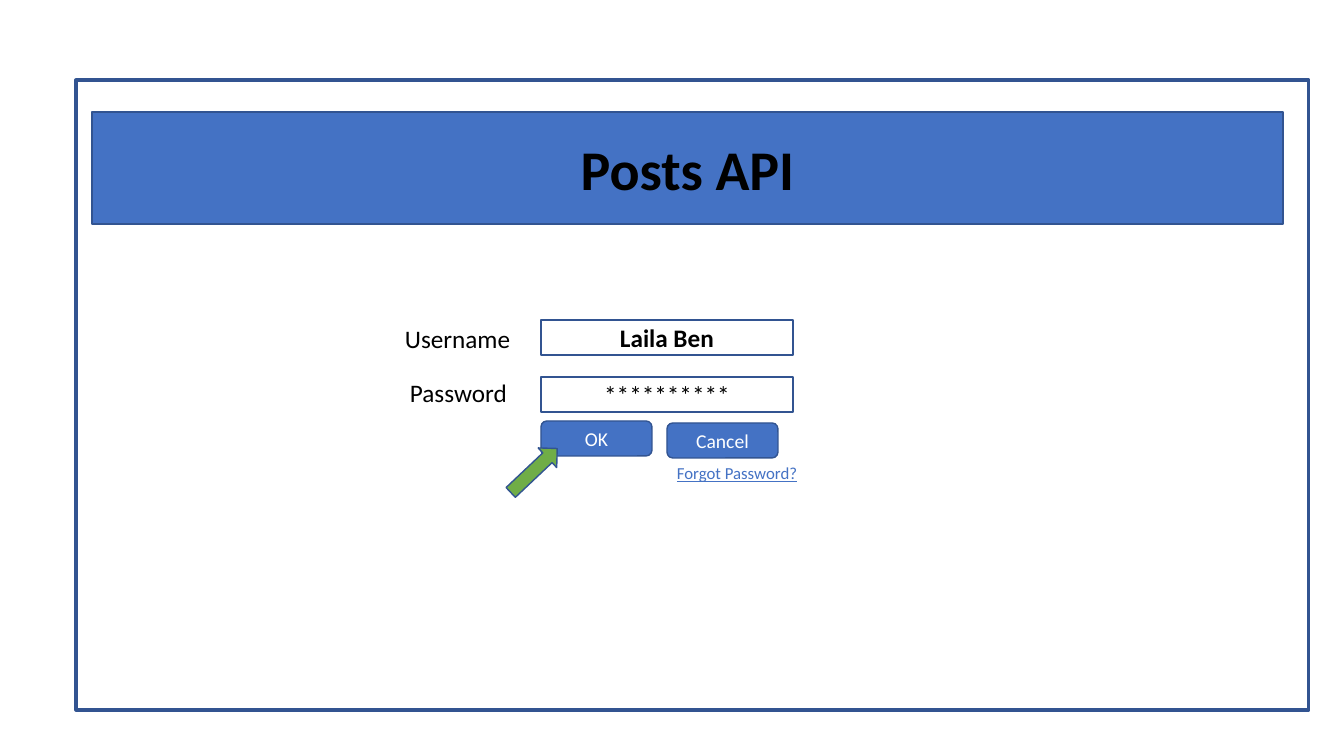
"""Build a slide with a login form mock-up."""
import pptx
import pptx.dml.color
import pptx.enum.shapes
import pptx.enum.text
import pptx.util

BLUE = pptx.dml.color.RGBColor(0x44, 0x72, 0xC4)
DARK_BLUE = pptx.dml.color.RGBColor(0x32, 0x54, 0x91)
GREEN = pptx.dml.color.RGBColor(0x70, 0xAD, 0x47)
BLACK = pptx.dml.color.RGBColor(0, 0, 0)
WHITE = pptx.dml.color.RGBColor(255, 255, 255)
EMU_PER_PIXEL = 914400 / 100.8
KINDS = pptx.enum.shapes.MSO_SHAPE

presentation = pptx.Presentation()
presentation.slide_width = round(1344 * EMU_PER_PIXEL)
presentation.slide_height = round(756 * EMU_PER_PIXEL)
slide = presentation.slides.add_slide(presentation.slide_layouts[6])


def add_outlined_shape(kind, box, fill=None, line_width=1):
    """Add a preset shape with a dark blue outline."""
    shape = slide.shapes.add_shape(kind, *[round(value * EMU_PER_PIXEL) for value in box])
    shape.shadow.inherit = False
    if fill is None:
        shape.fill.background()
    else:
        shape.fill.solid()
        shape.fill.fore_color.rgb = fill
    shape.line.color.rgb = DARK_BLUE
    shape.line.width = pptx.util.Pt(line_width)
    return shape


def write_text(shape, text, size, color, alignment, bold=False, underline=False):
    """Write one run of text into a shape."""
    paragraph = shape.text_frame.paragraphs[0]
    paragraph.alignment = alignment
    run = paragraph.add_run()
    run.text = text
    run.font.name = "Calibri"
    run.font.size = pptx.util.Pt(size)
    run.font.color.rgb = color
    run.font.bold = bold
    run.font.underline = underline


add_outlined_shape(KINDS.RECTANGLE, (76, 80, 1233, 630), line_width=2.25)

FIELD_LEFT, FIELD_WIDTH, BUTTON_WIDTH, ROW_HEIGHT = 541, 252, 111, 35
CANCEL_LEFT = 667
for kind, box, fill, text, size, color, bold in (
    (KINDS.RECTANGLE, (92, 112, 1191, 112), BLUE, "Posts API", 40, BLACK, True),
    (KINDS.RECTANGLE, (FIELD_LEFT, 320, FIELD_WIDTH, ROW_HEIGHT), None, "Laila Ben", 18, BLACK, True),
    (KINDS.RECTANGLE, (FIELD_LEFT, 377, FIELD_WIDTH, ROW_HEIGHT), None, "**********", 18, BLACK, False),
    (KINDS.ROUNDED_RECTANGLE, (FIELD_LEFT, 421, BUTTON_WIDTH, ROW_HEIGHT), BLUE, "OK", 14, WHITE, False),
    (KINDS.ROUNDED_RECTANGLE, (CANCEL_LEFT, 423, BUTTON_WIDTH, ROW_HEIGHT), BLUE, "Cancel", 14, WHITE, False),
):
    shape = add_outlined_shape(kind, box, fill)
    shape.text_frame.vertical_anchor = pptx.enum.text.MSO_ANCHOR.MIDDLE
    write_text(shape, text, size, color, pptx.enum.text.PP_ALIGN.CENTER, bold)

for text, box, size, color, underline in (
    ("Username", (395, 318, 127, 40), 18, BLACK, False),
    ("Password", (400, 372, 118, 40), 18, BLACK, False),
    ("Forgot Password?", (CANCEL_LEFT, 458, 142, 30), 12, BLUE, True),
):
    label = slide.shapes.add_textbox(*[round(value * EMU_PER_PIXEL) for value in box])
    label.text_frame.word_wrap = False
    label.text_frame.auto_size = pptx.enum.text.MSO_AUTO_SIZE.SHAPE_TO_FIT_TEXT
    write_text(label, text, size, color, pptx.enum.text.PP_ALIGN.LEFT, underline=underline)

pointer = add_outlined_shape(KINDS.RIGHT_ARROW, (502, 457, 64, 27), GREEN)
pointer.rotation = 316.6

presentation.save("out.pptx")
